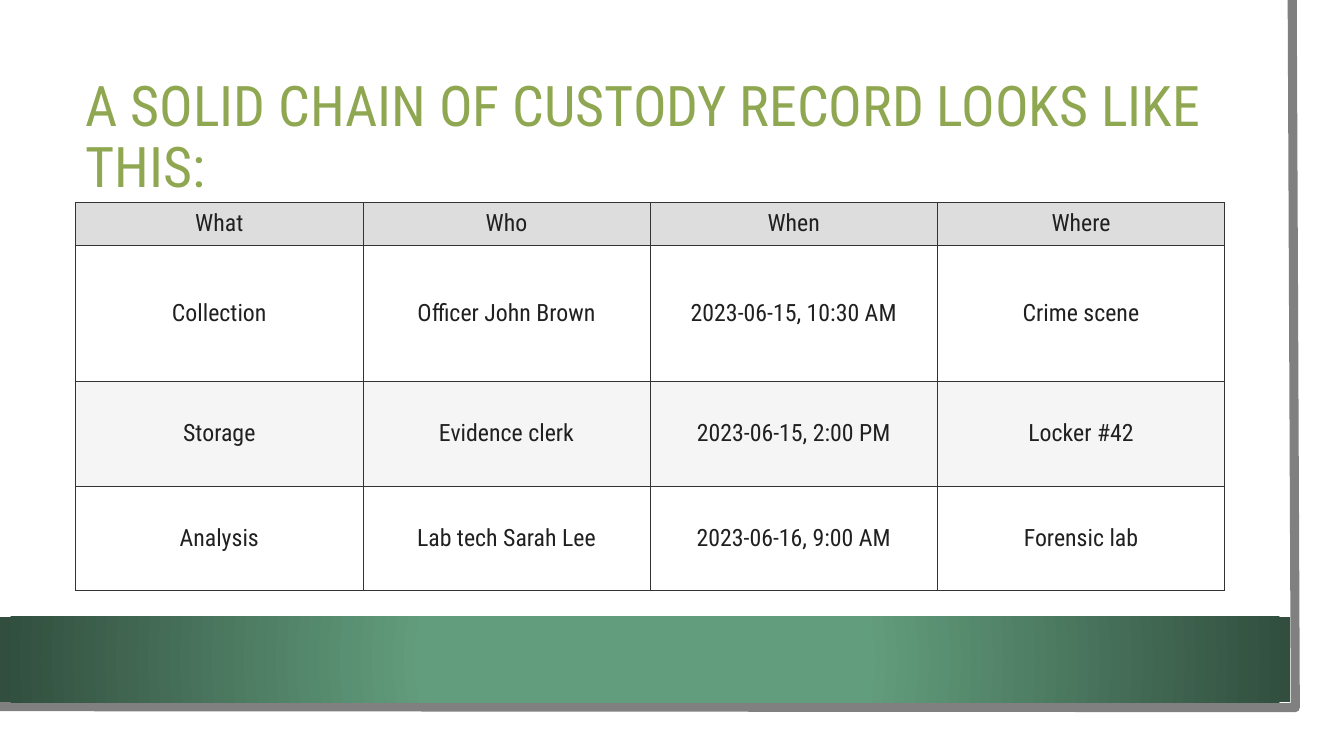
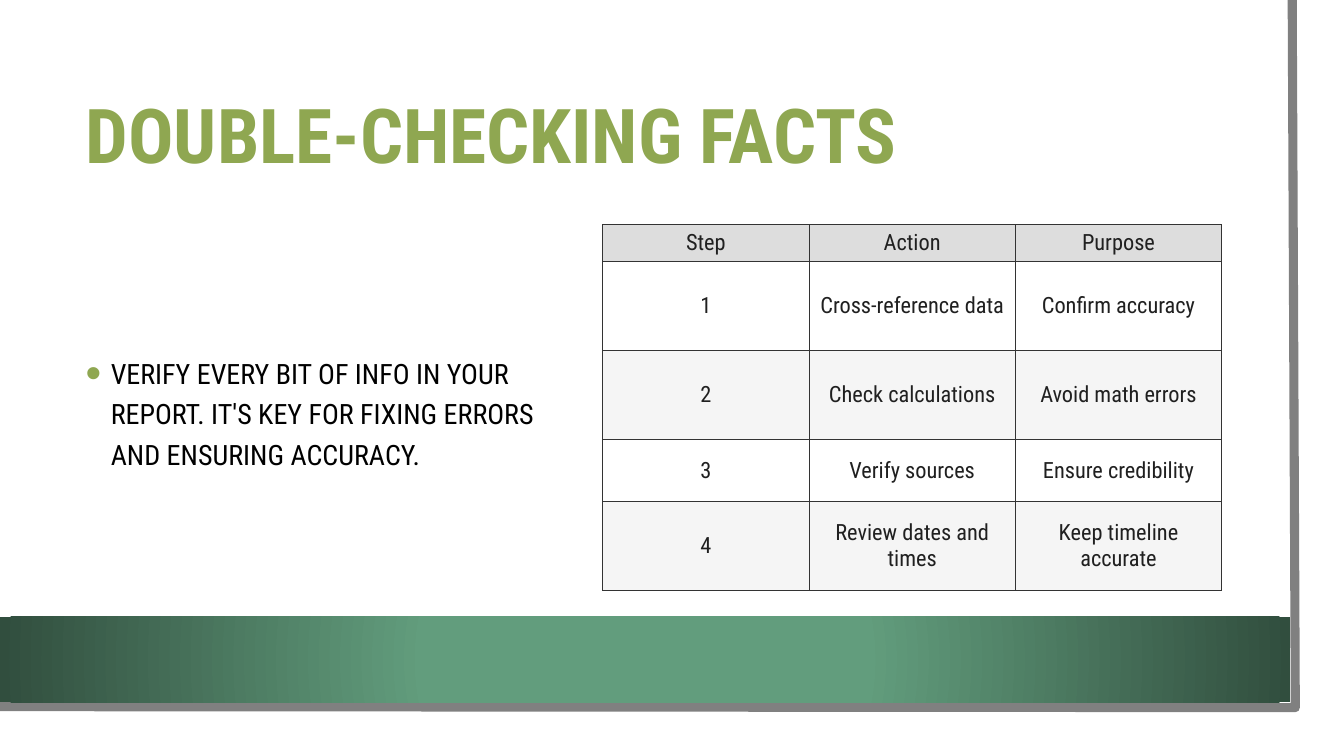
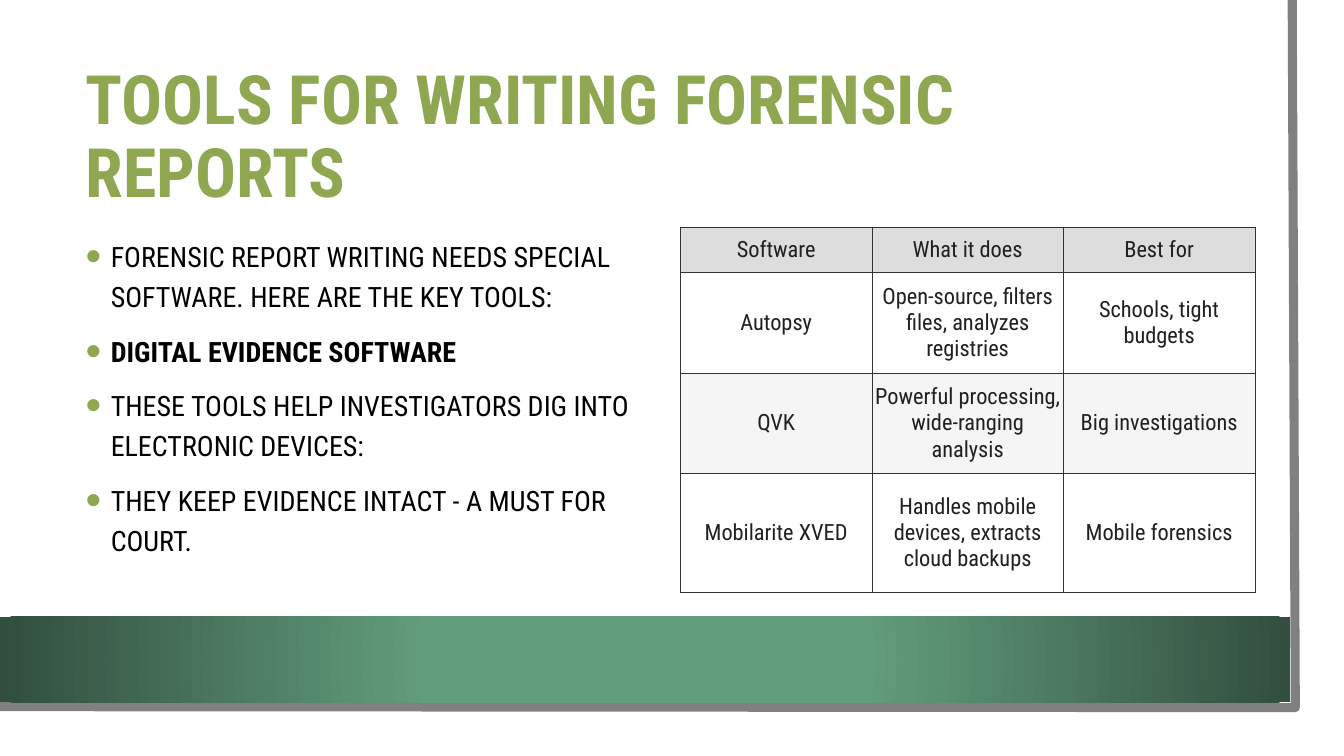
from dataclasses import dataclass

from pptx import Presentation, util as u
from pptx.dml.color import RGBColor
from pptx.enum import shapes, text
from pptx.oxml import parse_xml

W, H = 13.333, 7.5
NS = 'xmlns:a="http://schemas.openxmlformats.org/drawingml/2006/main"'


@dataclass(frozen=True)
class Theme:
    font: str = "Roboto Condensed"
    green: str = "8FA751"
    black: str = "000000"
    white: str = "FFFFFF"
    edge: str = "808080"
    glow: str = "629D7D"
    deep: str = "314E3E"
    cell: str = "202020"
    head: str = "DDDDDD"
    band: str = "F5F5F5"
    rule: str = "333333"
    body: float = 20


T = Theme()


# Lengths are percentages of the slide's width and height
def across(share):
    return u.Inches(W * share / 100)


def down(share):
    return u.Inches(H * share / 100)


def area(left, top, wide, high):
    return across(left), down(top), across(wide), down(high)


def put(obj, vals):
    for key, val in vals.items():
        setattr(obj, key, val)


def ink(font, size, color, bold=False):
    put(font, {"name": T.font, "size": u.Pt(size), "bold": bold})
    font.color.rgb = RGBColor.from_string(color)


def plain(shape):
    shape.line.fill.background()
    shape.shadow.inherit = False


# Shared backdrop, kept on the layout
def frame(slide, layout):
    sheet = slide.shapes.add_shape(
        shapes.MSO_SHAPE.RECTANGLE, *area(0, 0, 98.25, 96.93))
    sheet.fill.solid()
    sheet.fill.fore_color.rgb = RGBColor.from_string(T.white)
    plain(sheet)

    pen = slide.shapes.build_freeform(across(96.15), 0, scale=1.0)
    pen.add_line_segments([(across(96.38), down(93.6)),
                           (across(-0.2), down(93.47))], close=False)
    edge = pen.convert_to_shape()
    edge.fill.background()
    edge.line.width = u.Pt(6.5)
    edge.line.color.rgb = RGBColor.from_string(T.edge)
    edge.shadow.inherit = False

    band = slide.shapes.add_shape(
        shapes.MSO_SHAPE.RECTANGLE, *area(0, 81.6, 96, 11.33))
    stops = "".join(
        f'<a:gs pos="{pos}000"><a:srgbClr val="{color}"/></a:gs>'
        for pos, color in ((34, T.glow), (100, T.deep)))
    band.element.spPr.append(parse_xml(
        f'<a:gradFill {NS} rotWithShape="1"><a:gsLst>{stops}</a:gsLst>'
        '<a:path path="circle"><a:fillToRect l="50000" t="50000" '
        'r="50000" b="50000"/></a:path></a:gradFill>'))
    plain(band)

    for num, part in enumerate((sheet, edge, band)):
        part.element.xpath("./*/p:cNvPr")[0].set("id", str(101 + num))
        layout.shapes.element.insert(2 + num, part.element)


def title(slide, words, size, bold=True, wide=85.28):
    box = slide.shapes.title
    left, top, width, high = area(5.63, 10, wide, 16.8)
    put(box, {"left": left, "top": top, "width": width, "height": high})
    put(box.text_frame, {"text": words, "word_wrap": True,
                         "auto_size": text.MSO_AUTO_SIZE.NONE,
                         "vertical_anchor": text.MSO_ANCHOR.MIDDLE})
    par = box.text_frame.paragraphs[0]
    put(par, {"alignment": text.PP_ALIGN.LEFT, "line_spacing": 0.9})
    ink(par.runs[0].font, size, T.green, bold)


def bullets(slide, lines, wide, anchor, strong=()):
    box = slide.shapes.add_textbox(*area(5.63, 30.13, wide, 48.27))
    tf = box.text_frame
    put(tf, {"word_wrap": True, "vertical_anchor": anchor})
    for num, line in enumerate(lines):
        par = tf.add_paragraph() if num else tf.paragraphs[0]
        put(par, {"line_spacing": 1.2, "space_before": u.Pt(10 if num else 0)})
        props = par._p.get_or_add_pPr()
        props.set("marL", str(u.Inches(0.25)))
        props.set("indent", str(-u.Inches(0.25)))
        for mark in (
                f'<a:buClr {NS}><a:srgbClr val="{T.green}"/></a:buClr>',
                f'<a:buSzPct {NS} val="160000"/>',
                f'<a:buFont {NS} typeface="Arial"/>',
                f'<a:buChar {NS} char="•"/>'):
            props.append(parse_xml(mark))
        run = par.add_run()
        run.text = line
        ink(run.font, T.body, T.black, line in strong)


def border(cell):
    props = cell._tc.get_or_add_tcPr()
    for side in "LRTB":
        props.append(parse_xml(
            f'<a:ln{side} {NS} w="{u.Pt(0.5)}"><a:solidFill>'
            f'<a:srgbClr val="{T.rule}"/></a:solidFill></a:ln{side}>'))


def grid(slide, left, top, wide, highs, rows, size, inset=0.05):
    table = slide.shapes.add_table(
        len(rows), len(rows[0]), *area(left, top, wide, sum(highs))).table
    put(table, {"first_row": False, "horz_banding": False})
    for col in table.columns:
        col.width = across(wide / len(rows[0]))
    pad = {f"margin_{side}": u.Inches(inset)
           for side in ("left", "right", "top", "bottom")}
    for i, (high, row) in enumerate(zip(highs, rows)):
        table.rows[i].height = down(high)
        fill = T.head if i == 0 else T.white if i % 2 else T.band
        for j, words in enumerate(row):
            cell = table.cell(i, j)
            put(cell, {"text": words,
                       "vertical_anchor": text.MSO_ANCHOR.MIDDLE, **pad})
            border(cell)
            cell.fill.solid()
            cell.fill.fore_color.rgb = RGBColor.from_string(fill)
            par = cell.text_frame.paragraphs[0]
            par.alignment = text.PP_ALIGN.CENTER
            ink(par.runs[0].font, size, T.cell)


# Slides
def custody(slide):
    title(slide, "A SOLID CHAIN OF CUSTODY RECORD LOOKS LIKE THIS:",
          40, bold=False, wide=91.28)
    grid(slide, 5.63, 26.8, 85.5, (5.6, 18, 13.87, 13.87), (
        ("What", "Who", "When", "Where"),
        ("Collection", "Officer John Brown", "2023-06-15, 10:30 AM",
         "Crime scene"),
        ("Storage", "Evidence clerk", "2023-06-15, 2:00 PM", "Locker #42"),
        ("Analysis", "Lab tech Sarah Lee", "2023-06-16, 9:00 AM",
         "Forensic lab")), 17)


def facts(slide):
    title(slide, "DOUBLE-CHECKING FACTS", 54)
    bullets(slide, (
        "VERIFY EVERY BIT OF INFO IN YOUR REPORT. IT'S KEY FOR FIXING "
        "ERRORS AND ENSURING ACCURACY.",), 38.25, text.MSO_ANCHOR.MIDDLE)
    grid(slide, 44.85, 29.73, 46.05, (4.8, 11.73, 11.73, 8.27, 11.73), (
        ("Step", "Action", "Purpose"),
        ("1", "Cross-reference data", "Confirm accuracy"),
        ("2", "Check calculations", "Avoid math errors"),
        ("3", "Verify sources", "Ensure credibility"),
        ("4", "Review dates and times", "Keep timeline accurate")), 16)


def tools(slide):
    title(slide, "TOOLS FOR WRITING FORENSIC REPORTS", 48.6)
    head = "DIGITAL EVIDENCE SOFTWARE"
    bullets(slide, (
        "FORENSIC REPORT WRITING NEEDS SPECIAL SOFTWARE. HERE ARE THE KEY "
        "TOOLS:",
        head,
        "THESE TOOLS HELP INVESTIGATORS DIG INTO ELECTRONIC DEVICES:",
        "THEY KEEP EVIDENCE INTACT - A MUST FOR COURT."),
        45, text.MSO_ANCHOR.TOP, strong=(head,))
    grid(slide, 50.63, 30.13, 42.75, (5.87, 13.33, 13.33, 15.73), (
        ("Software", "What it does", "Best for"),
        ("Autopsy", "Open-source, filters files, analyzes registries",
         "Schools, tight budgets"),
        ("QVK", "Powerful processing, wide-ranging analysis",
         "Big investigations"),
        ("Mobilarite XVED", "Handles mobile devices, extracts cloud backups",
         "Mobile forensics")), 16, inset=0.03)


def main():
    deck = Presentation()
    put(deck, {"slide_width": u.Inches(W), "slide_height": u.Inches(H)})
    layout = deck.slide_layouts[5]
    for num, build in enumerate((custody, facts, tools)):
        slide = deck.slides.add_slide(layout)
        if num == 0:
            frame(slide, layout)
        build(slide)
    deck.save("out.pptx")


if __name__ == "__main__":
    main()
